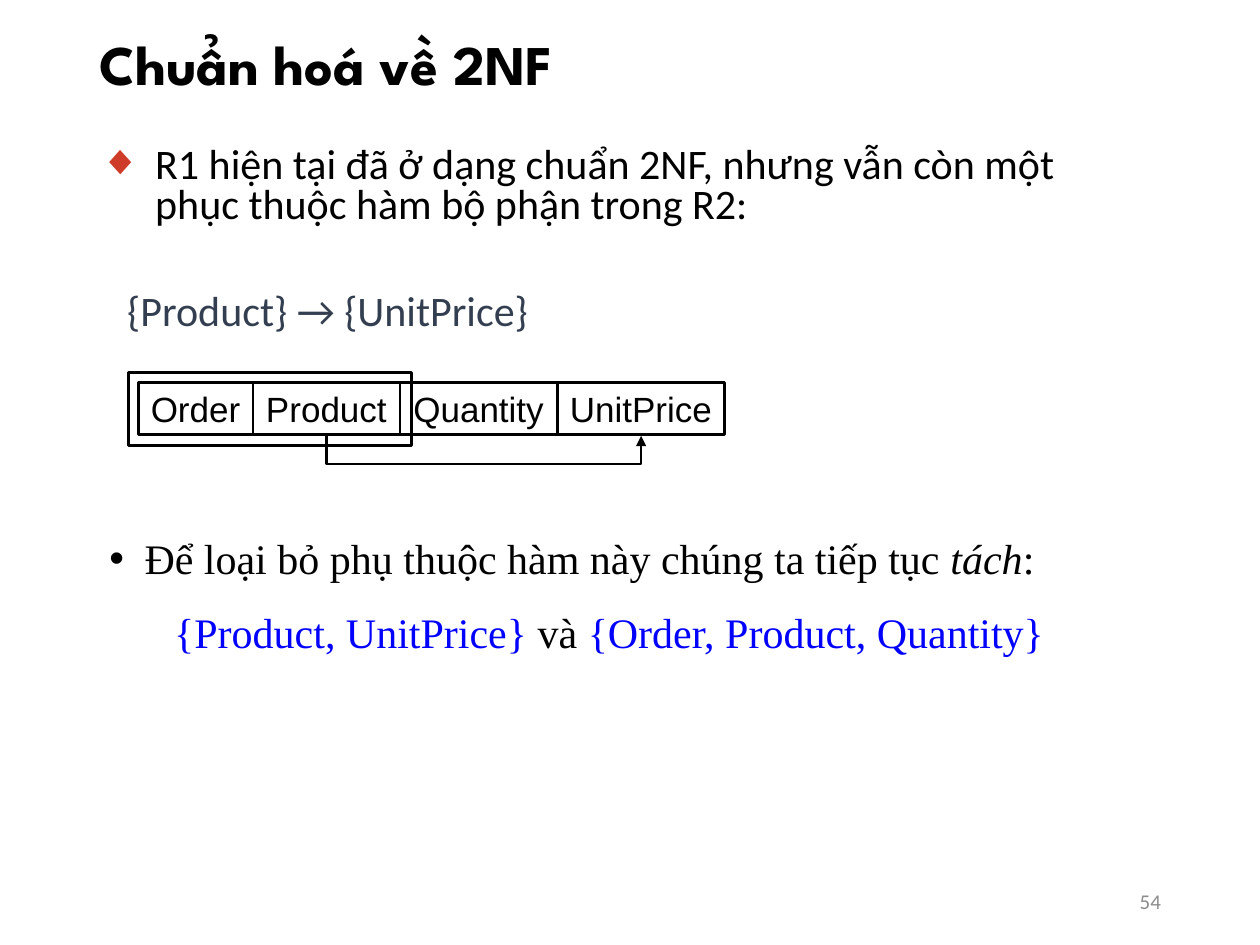
from lxml import etree
from pptx import Presentation
from pptx.dml.color import RGBColor
from pptx.enum import shapes, text
from pptx.oxml import ns
from pptx.util import Pt

BLACK, BLUE, SLATE, RED, GREY = "000000", "0000FF", "333F50", "CE3B29", "8C8C8C"


def color(hex_string):
    return RGBColor.from_string(hex_string)


def sub(parent, tag, **attributes):
    return etree.SubElement(parent, ns.qn(tag), attributes)


def place(shape, box):
    for side, value in zip(("left", "top", "width", "height"), box):
        setattr(shape, side, Pt(value))


def set_frame(frame, **values):
    values = {"word_wrap": True, "auto_size": text.MSO_AUTO_SIZE.NONE, **values}
    for name, value in values.items():
        setattr(frame, name, value)


def write(paragraph, wording, hex_color, **font):
    run = paragraph.add_run()
    run.text = wording
    for name, value in font.items():
        setattr(run.font, name, value)
    run.font.color.rgb = color(hex_color)


def indent(paragraph, left, bullet=None, bullet_color=BLACK):
    """Hang the bullet in the left indent, or switch bullets off."""
    properties = paragraph._p.get_or_add_pPr()
    properties.set("marL", str(Pt(left)))
    properties.set("indent", str(-Pt(left) if bullet else 0))
    if bullet:
        sub(sub(properties, "a:buClr"), "a:srgbClr", val=bullet_color)
        sub(properties, "a:buFont", typeface="Arial")
        sub(properties, "a:buChar", char=bullet)
    else:
        sub(properties, "a:buNone")


def add_title(slide, box):
    title = slide.shapes.title
    place(title, box)
    set_frame(title.text_frame, vertical_anchor=text.MSO_ANCHOR.MIDDLE)
    heading = title.text_frame.paragraphs[0]
    heading.alignment = text.PP_ALIGN.LEFT
    heading.line_spacing = 0.9
    write(heading, "Chuẩn hoá về 2NF", BLACK, name="League Spartan", size=Pt(32), bold=True)


def add_dependency(slide, box):
    body = slide.placeholders[1]
    place(body, box)
    frame = body.text_frame
    set_frame(frame, vertical_anchor=text.MSO_ANCHOR.TOP)
    remark, dependency = frame.paragraphs[0], frame.add_paragraph()
    for paragraph, before in ((remark, 0), (dependency, 38)):
        paragraph.line_spacing = 0.8
        paragraph.space_before = Pt(before)
    indent(remark, 32, "◆", RED)
    indent(dependency, 16)
    font = {"name": "Calibri", "size": Pt(24)}
    write(remark, "R1 hiện tại đã ở dạng chuẩn 2NF, nhưng vẫn còn một "
          "phục thuộc hàm bộ phận trong R2:", BLACK, **font)
    write(dependency, "{Product} → {UnitPrice}", SLATE, **font)


def add_outline(slide, box):
    outline = slide.shapes.add_shape(shapes.MSO_SHAPE.RECTANGLE, *map(Pt, box))
    outline.shadow.inherit = False
    outline.fill.background()
    outline.line.color.rgb = color(BLACK)
    outline.line.width = Pt(1.5)
    return outline


def add_elbow_arrow(slide, start, end, top, depth):
    """Run from start down by depth, across, and up to an arrowhead at end."""
    middle, half, thin = (start + end) / 2, (end - start) / 2, 0.12
    arrow = slide.shapes.add_connector(
        shapes.MSO_CONNECTOR.ELBOW,
        Pt(middle + thin), Pt(top - half), Pt(middle), Pt(top + half))
    arrow.line.color.rgb = color(BLACK)
    arrow.line.width = Pt(1.5)
    properties = arrow._element.spPr
    properties.find(ns.qn("a:xfrm")).set("rot", str(270 * 60000))
    guides = properties.find(ns.qn("a:prstGeom")).find(ns.qn("a:avLst"))
    sub(guides, "a:gd", name="adj1", fmla=f"val {round(depth / thin * 100000)}")
    sub(properties.find(ns.qn("a:ln")), "a:tailEnd", type="triangle")
    sub(properties, "a:effectLst")


def add_schema(slide, box):
    """Draw the relation with its key framed and its partial dependency."""
    left, top, width, height = box
    columns = {"Order": 65.5, "Product": 84, "Quantity": 90}
    columns["UnitPrice"] = width - sum(columns.values())
    centers, x = {}, left
    for name, cell_width in columns.items():
        cell = add_outline(slide, (x, top, cell_width, height))
        set_frame(cell.text_frame, word_wrap=False, margin_left=0, margin_right=0,
                  vertical_anchor=text.MSO_ANCHOR.MIDDLE)
        label = cell.text_frame.paragraphs[0]
        label.alignment = text.PP_ALIGN.CENTER
        write(label, name, BLACK, name="Arial", size=Pt(20))
        centers[name] = x + cell_width / 2
        x += cell_width
    add_elbow_arrow(slide, centers["Product"], centers["UnitPrice"], top + height + 0.5, 17.3)
    key_width = columns["Order"] + columns["Product"]
    add_outline(slide, (left - 5.5, top - 5.5, key_width + 12, height + 11.5))


def add_decomposition(slide, box):
    frame = slide.shapes.add_textbox(*map(Pt, box)).text_frame
    set_frame(frame)
    step, relations = frame.paragraphs[0], frame.add_paragraph()
    indent(step, 20, "•")
    indent(relations, 37)
    relations.space_before = Pt(13.5)
    runs = (
        (step, "Để loại bỏ phụ thuộc hàm này chúng ta tiếp tục ", BLACK, False),
        (step, "tách", BLACK, True),
        (step, ":", BLACK, False),
        (relations, "{Product, UnitPrice} ", BLUE, False),
        (relations, "và ", BLACK, False),
        (relations, "{Order, Product, Quantity}", BLUE, False),
    )
    for paragraph, wording, hex_color, italic in runs:
        write(paragraph, wording, hex_color, name="Times New Roman", size=Pt(24), italic=italic)


def add_page_number(slide, box):
    frame = slide.shapes.add_textbox(*map(Pt, box)).text_frame
    set_frame(frame, vertical_anchor=text.MSO_ANCHOR.MIDDLE)
    number = frame.paragraphs[0]
    number.alignment = text.PP_ALIGN.RIGHT
    write(number, "54", GREY, name="Calibri", size=Pt(12))


def main():
    deck = Presentation()
    deck.slide_width, deck.slide_height = Pt(720), Pt(540)
    slide = deck.slides.add_slide(deck.slide_layouts[1])
    add_title(slide, (49.5, 9.5, 621, 58))
    add_dependency(slide, (49.5, 80.5, 612, 124.5))
    add_schema(slide, (79, 218.5, 335, 30))
    add_decomposition(slide, (55.5, 301, 648, 80))
    add_page_number(slide, (508.5, 500.5, 162, 29))
    deck.save("out.pptx")


if __name__ == "__main__":
    main()
